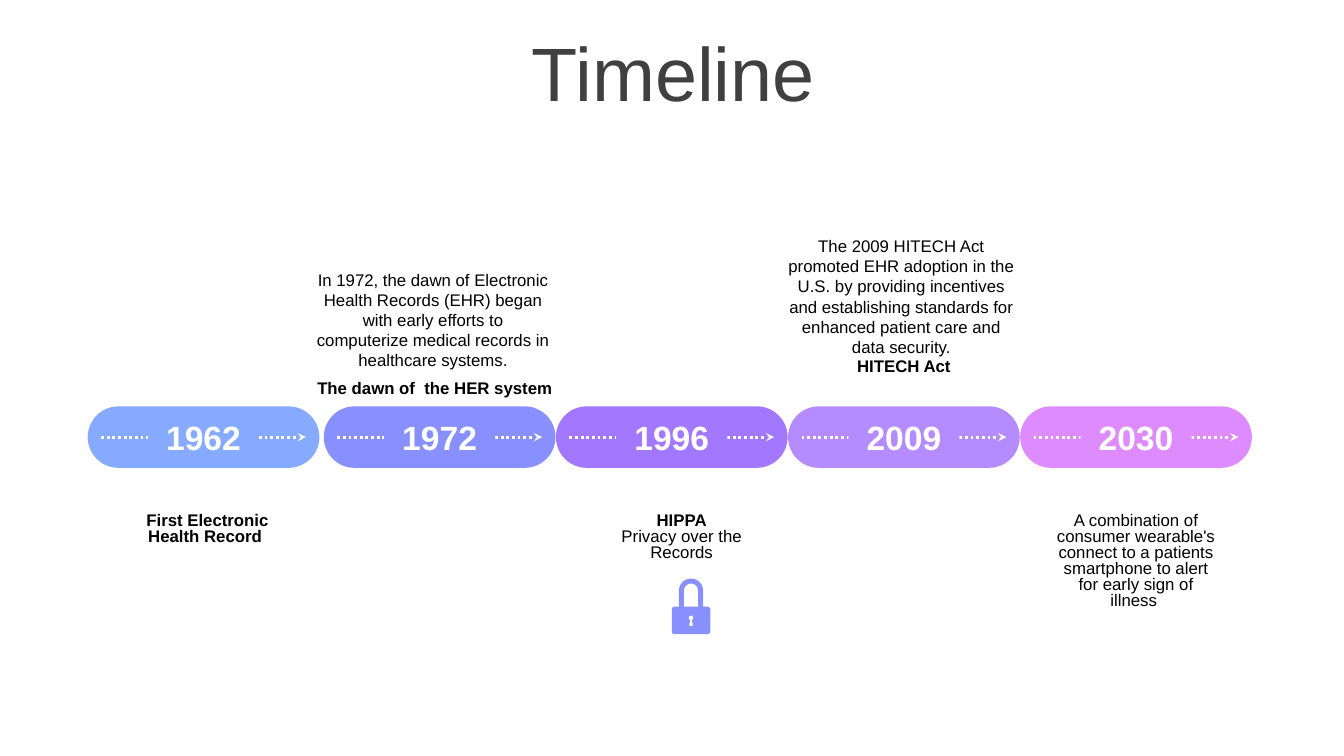
from math import cos, radians, sin

from pptx import Presentation
from pptx.dml.color import RGBColor
from pptx.enum.dml import MSO_LINE
from pptx.enum.shapes import MSO_CONNECTOR, MSO_SHAPE
from pptx.enum.text import MSO_ANCHOR, MSO_AUTO_SIZE, PP_ALIGN
from pptx.oxml.ns import qn
from pptx.util import Cm, Pt
from lxml import etree

FONT = "Arial"
BLACK = RGBColor(0x00, 0x00, 0x00)
WHITE = RGBColor(0xFF, 0xFF, 0xFF)
GREY = RGBColor(0x40, 0x40, 0x40)
SKY = RGBColor(0x86, 0xAA, 0xFF)
PERIWINKLE = RGBColor(0x88, 0x8F, 0xFF)
VIOLET = RGBColor(0xA1, 0x78, 0xFF)
LILAC = RGBColor(0xB5, 0x8C, 0xFF)
PINK = RGBColor(0xDD, 0x8B, 0xFF)

# Pill geometry in centimetres; the first pill stands slightly apart
PILL_TOP, PILL_W, PILL_H = 10.24, 5.84, 1.55
FIRST_LEFT, SECOND_LEFT, PITCH = 2.21, 8.16, 5.85

# Year, colour, notes: (dx, dy, width, height, line spacing, [(text, bold)])
MILESTONES = [
    ("1962", SKY, [
        (0.71, 2.57, 4.62, 1.07, 0.8, [("First Electronic Health Record ", True)])]),
    ("1972", PERIWINKLE, [
        (-0.44, -0.76, 6.48, 0.66, 0.8, [("The dawn of  the HER system", True)]),
        (-0.46, -3.58, 6.43, 2.82, 1.0, [
            ("In 1972, the dawn of Electronic Health Records (EHR) began with early "
             "efforts to computerize medical records in healthcare systems.", False)])]),
    ("1996", VIOLET, [
        (0.86, 2.57, 4.62, 1.5, 0.8, [("HIPPA", True),
                                      ("Privacy over the Records", False)])]),
    ("2009", LILAC, [
        (0.61, -1.3, 4.62, 0.66, 0.8, [("HITECH Act", True)]),
        (-0.36, -4.42, 6.43, 3.33, 1.0, [
            ("The 2009 HITECH Act promoted EHR adoption in the U.S. by providing "
             "incentives and establishing standards for enhanced patient care and "
             "data security.", False)])]),
    ("2030", PINK, [
        (0.61, 2.57, 4.62, 2.72, 0.8, [
            ("A combination of consumer wearable's connect to a patients smartphone "
             "to alert for early sign of illness ", False)])]),
]


def add_text(p, text, size, color, bold=False, spacing=1.0):
    p.alignment = PP_ALIGN.CENTER
    p.line_spacing = spacing
    r = p.add_run()
    r.text = text
    r.font.name, r.font.size, r.font.bold = FONT, Pt(size), bold
    r.font.color.rgb = color


def add_block(s, kind, color, x, y, w, h):
    sp = s.shapes.add_shape(kind, Cm(x), Cm(y), Cm(w), Cm(h))
    sp.shadow.inherit = False
    sp.fill.solid()
    sp.fill.fore_color.rgb = color
    sp.line.fill.background()
    return sp


def add_title(s, x, y, w, h):
    title = s.shapes.title
    title.left, title.top, title.width, title.height = Cm(x), Cm(y), Cm(w), Cm(h)
    tf = title.text_frame
    tf.auto_size = MSO_AUTO_SIZE.NONE
    tf.vertical_anchor = MSO_ANCHOR.MIDDLE
    p = tf.paragraphs[0]
    p.space_before = Pt(10)
    add_text(p, "Timeline", 54, GREY, spacing=0.9)


def add_pill(s, year, color, x, y, w, h):
    pill = add_block(s, MSO_SHAPE.ROUNDED_RECTANGLE, color, x, y, w, h)
    pill.adjustments[0] = 0.5
    # Dotted arrow running behind the year
    inset, mid = 0.34, y + h / 2
    arrow = s.shapes.add_connector(MSO_CONNECTOR.STRAIGHT, Cm(x + inset), Cm(mid),
                                   Cm(x + w - inset), Cm(mid))
    arrow.line.color.rgb = WHITE
    arrow.line.width = Pt(2)
    arrow.line.dash_style = MSO_LINE.ROUND_DOT
    ln = arrow.line._get_or_add_ln()
    etree.SubElement(ln, qn("a:tailEnd"), type="stealth")
    etree.SubElement(arrow._element.spPr, qn("a:effectLst"))
    # Year label
    label_w, label_h = 2.8, 1.28
    label = add_block(s, MSO_SHAPE.RECTANGLE, color, x + (w - label_w) / 2,
                      y + (h - label_h) / 2, label_w, label_h)
    tf = label.text_frame
    tf.word_wrap = True
    tf.auto_size = MSO_AUTO_SIZE.SHAPE_TO_FIT_TEXT
    add_text(tf.paragraphs[0], year, 24, WHITE, bold=True)


def add_note(s, x, y, w, h, spacing, lines):
    tf = s.shapes.add_textbox(Cm(x), Cm(y), Cm(w), Cm(h)).text_frame
    tf.word_wrap = True
    tf.auto_size = MSO_AUTO_SIZE.SHAPE_TO_FIT_TEXT
    for i, (text, bold) in enumerate(lines):
        p = tf.add_paragraph() if i else tf.paragraphs[0]
        add_text(p, text, 12, BLACK, bold, spacing)


def arc(cx, cy, radius, start, end, steps=16):
    angles = [radians(start + (end - start) * i / steps) for i in range(steps + 1)]
    return [(cx + radius * cos(a), cy + radius * sin(a)) for a in angles]


def add_padlock(s, x, y, w, h):
    cx, top, corner, outer, inner = w / 2, 0.71, 0.07, 0.305, 0.18
    right, bottom = w - corner, h - corner
    body = (arc(corner, top + corner, corner, 180, 270)
            + [(cx - outer, top)] + arc(cx, outer, outer, 180, 360)
            + [(cx + outer, top)]
            + arc(right, top + corner, corner, 270, 360)
            + arc(right, bottom, corner, 0, 90)
            + arc(corner, bottom, corner, 90, 180))
    shackle_gap = ([(cx - inner, top)] + arc(cx, outer, inner, 180, 360)
                   + [(cx + inner, top)])
    keyhole = (arc(cx, 0.99, 0.06, 112, 428)
               + [(cx + 0.05, 1.19), (cx - 0.05, 1.19)])
    # Points are drawn in thousandths of a centimetre
    contours = [[(px * 1000, py * 1000) for px, py in c]
                for c in (body, shackle_gap, keyhole)]
    builder = s.shapes.build_freeform(*contours[0][0], scale=Cm(1) / 1000)
    for i, points in enumerate(contours):
        if i:
            builder.move_to(*points[0])
        builder.add_line_segments(points[1:], close=True)
    lock = builder.convert_to_shape(Cm(x), Cm(y))
    lock.shadow.inherit = False
    lock.fill.solid()
    lock.fill.fore_color.rgb = PERIWINKLE
    lock.line.fill.background()


def add_timeline(s):
    for i, (year, color, notes) in enumerate(MILESTONES):
        x = SECOND_LEFT + (i - 1) * PITCH if i else FIRST_LEFT
        add_pill(s, year, color, x, PILL_TOP, PILL_W, PILL_H)
        for dx, dy, w, h, spacing, lines in notes:
            add_note(s, x + dx, PILL_TOP + dy, w, h, spacing, lines)
        if year == "1996":
            add_padlock(s, x + 2.92, PILL_TOP + 4.34, 0.97, 1.4)


def main():
    prs = Presentation()
    prs.slide_width, prs.slide_height = Cm(33.87), Cm(19.05)
    s = prs.slides.add_slide(prs.slide_layouts[5])
    add_title(s, 0.89, 0.94, 32.16, 2.01)
    add_timeline(s)
    prs.save("out.pptx")


if __name__ == "__main__":
    main()
